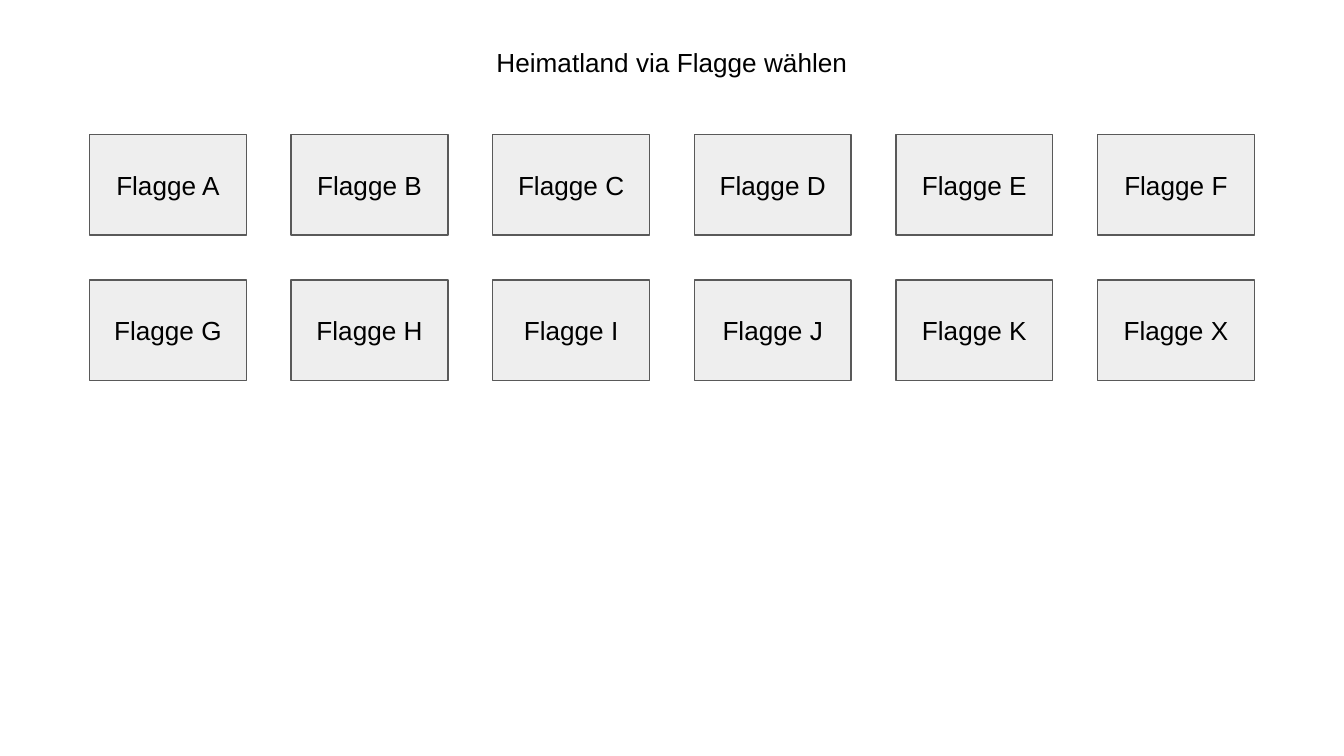
from dataclasses import dataclass

import pptx
import pptx.dml.color
import pptx.enum.shapes
import pptx.enum.text
import pptx.util

Pt = pptx.util.Pt
RGBColor = pptx.dml.color.RGBColor

BLACK = RGBColor(0x00, 0x00, 0x00)
FLAG_FILL = RGBColor(0xEE, 0xEE, 0xEE)
FLAG_LINE = RGBColor(0x59, 0x59, 0x59)

INSET = Pt(7.2)
FRAME_FORMAT = {
    "word_wrap": True,
    "vertical_anchor": pptx.enum.text.MSO_ANCHOR.MIDDLE,
    "margin_left": INSET,
    "margin_top": INSET,
    "margin_right": INSET,
    "margin_bottom": INSET,
}
FONT_FORMAT = {"name": "Arial", "size": Pt(14)}

FLAG_ROWS = ("ABCDEF", "GHIJKX")
GRID_LEFT, GRID_TOP = 48, 72
FLAG_WIDTH, FLAG_HEIGHT = 84, 54
COLUMN_STEP, ROW_STEP = 108, 78


@dataclass(frozen=True)
class Box:
    text: str
    left: float
    top: float
    width: float
    height: float

    def bounds(self) -> tuple:
        return Pt(self.left), Pt(self.top), Pt(self.width), Pt(self.height)


def set_attributes(target, values: dict) -> None:
    for name, value in values.items():
        setattr(target, name, value)


def write_text(sp, text: str) -> None:
    tf = sp.text_frame
    set_attributes(tf, FRAME_FORMAT)
    p = tf.paragraphs[0]
    p.alignment = pptx.enum.text.PP_ALIGN.CENTER
    r = p.add_run()
    r.text = text
    set_attributes(r.font, FONT_FORMAT)
    r.font.color.rgb = BLACK


def draw_flag(s, box: Box) -> None:
    sp = s.shapes.add_shape(pptx.enum.shapes.MSO_SHAPE.RECTANGLE, *box.bounds())
    sp.shadow.inherit = False
    sp.fill.solid()
    sp.fill.fore_color.rgb = FLAG_FILL
    sp.line.color.rgb = FLAG_LINE
    sp.line.width = Pt(0.75)
    write_text(sp, box.text)


def draw_title(s, box: Box) -> None:
    write_text(s.shapes.add_textbox(*box.bounds()), box.text)


def main() -> None:
    prs = pptx.Presentation()
    prs.slide_width, prs.slide_height = Pt(720), Pt(405)
    s = prs.slides.add_slide(prs.slide_layouts[6])

    for row, letters in enumerate(FLAG_ROWS):
        for column, letter in enumerate(letters):
            draw_flag(s, Box(
                f"Flagge {letter}",
                GRID_LEFT + column * COLUMN_STEP,
                GRID_TOP + row * ROW_STEP,
                FLAG_WIDTH,
                FLAG_HEIGHT,
            ))

    draw_title(s, Box("Heimatland via Flagge wählen", 111, 12, 498, 42))
    prs.save("out.pptx")


if __name__ == "__main__":
    main()
